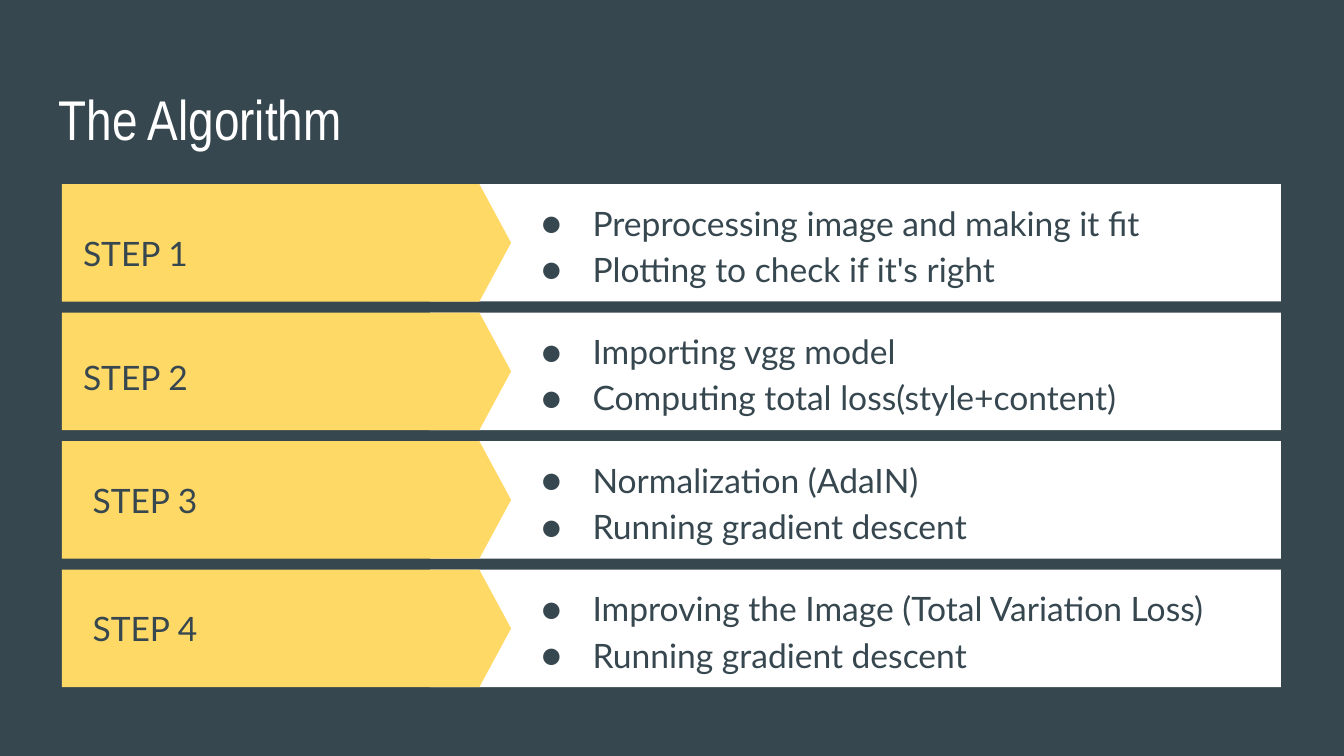
from pptx import Presentation
from pptx.dml.color import RGBColor as RGB
from pptx.enum.shapes import MSO_SHAPE as Shape
from pptx.enum.text import MSO_ANCHOR as Anchor
from pptx.oxml import parse_xml
from pptx.oxml.ns import nsdecls
from pptx.util import Cm, Pt

# Content: label, label left and drop (cm), bullet lines
TITLE = "The Algorithm"
STEPS = [
    ("STEP 1", 1.32, 0.2,
     ["Preprocessing image and making it fit", "Plotting to check if it's right"]),
    ("STEP 2", 1.32, 0.1,
     ["Importing vgg model", "Computing total loss(style+content)"]),
    ("STEP 3", 1.5, 0,
     ["Normalization (AdaIN)", "Running gradient descent"]),
    ("STEP 4", 1.5, 0,
     ["Improving the Image (Total Variation Loss)", "Running gradient descent"]),
]

# Look and grid (cm)
DARK, WHITE, GOLD = "37474F", "FFFFFF", "FFD966"
TOP, PITCH, HIGH = 3.48, 2.43, 2.22
INSET = 0.25


def color(code):
    return RGB.from_string(code)


def add_bar(group, kind, left, top, wide, fill):
    bar = group.shapes.add_shape(kind, Cm(left), Cm(top), Cm(wide), Cm(HIGH))
    bar.shadow.inherit = False
    bar.fill.solid()
    bar.fill.fore_color.rgb = color(fill)
    bar.line.fill.background()
    return bar


def add_bullet(para):
    props = para._p.get_or_add_pPr()
    props.set("marL", str(Cm(1.27)))
    props.set("indent", str(-Cm(0.97)))
    ns = nsdecls("a")
    for xml in (f'<a:buClr {ns}><a:srgbClr val="{DARK}"/></a:buClr>',
                f'<a:buFont {ns} typeface="Lato"/>',
                f'<a:buChar {ns} char="●"/>'):
        props.append(parse_xml(xml))


def add_text(left, top, wide, high, lines, size=18, font="Lato", ink=DARK,
             anchor=Anchor.MIDDLE, bullets=False):
    box = slide.shapes.add_textbox(Cm(left), Cm(top), Cm(wide), Cm(high))
    frame = box.text_frame
    frame.word_wrap = True
    frame.vertical_anchor = anchor
    frame.margin_left = frame.margin_right = Cm(INSET)
    frame.margin_top = frame.margin_bottom = Cm(INSET)
    for i, line in enumerate(lines):
        para = frame.add_paragraph() if i else frame.paragraphs[0]
        if bullets:
            para.line_spacing = 1.15
            add_bullet(para)
        run = para.add_run()
        run.text = line
        run.font.size = Pt(size)
        run.font.name = font
        run.font.color.rgb = color(ink)


# Slide and background
deck = Presentation()
deck.slide_width, deck.slide_height = Cm(25.4), Cm(14.29)
slide = deck.slides.add_slide(deck.slide_layouts[6])
slide.background.fill.solid()
slide.background.fill.fore_color.rgb = color(DARK)

# Title
add_text(0.86, 1.35, 23.67, 1.6, [TITLE], 30, "Arial Narrow", WHITE, Anchor.TOP)

# One row per step: white bar, gold arrow, label, bullets
for row, (label, left, drop, lines) in enumerate(STEPS):
    top = TOP + row * PITCH
    group = slide.shapes.add_group_shape()
    add_bar(group, Shape.RECTANGLE, 8.13, top, 16.08, WHITE)
    arrow = add_bar(group, Shape.PENTAGON, 1.17, top, 8.49, GOLD)
    arrow.adjustments[0] = 0.27
    add_text(left, top + drop, 6.73, HIGH, [label])
    add_text(9.68, top, 14.2, HIGH, lines, bullets=True)

deck.save("out.pptx")
